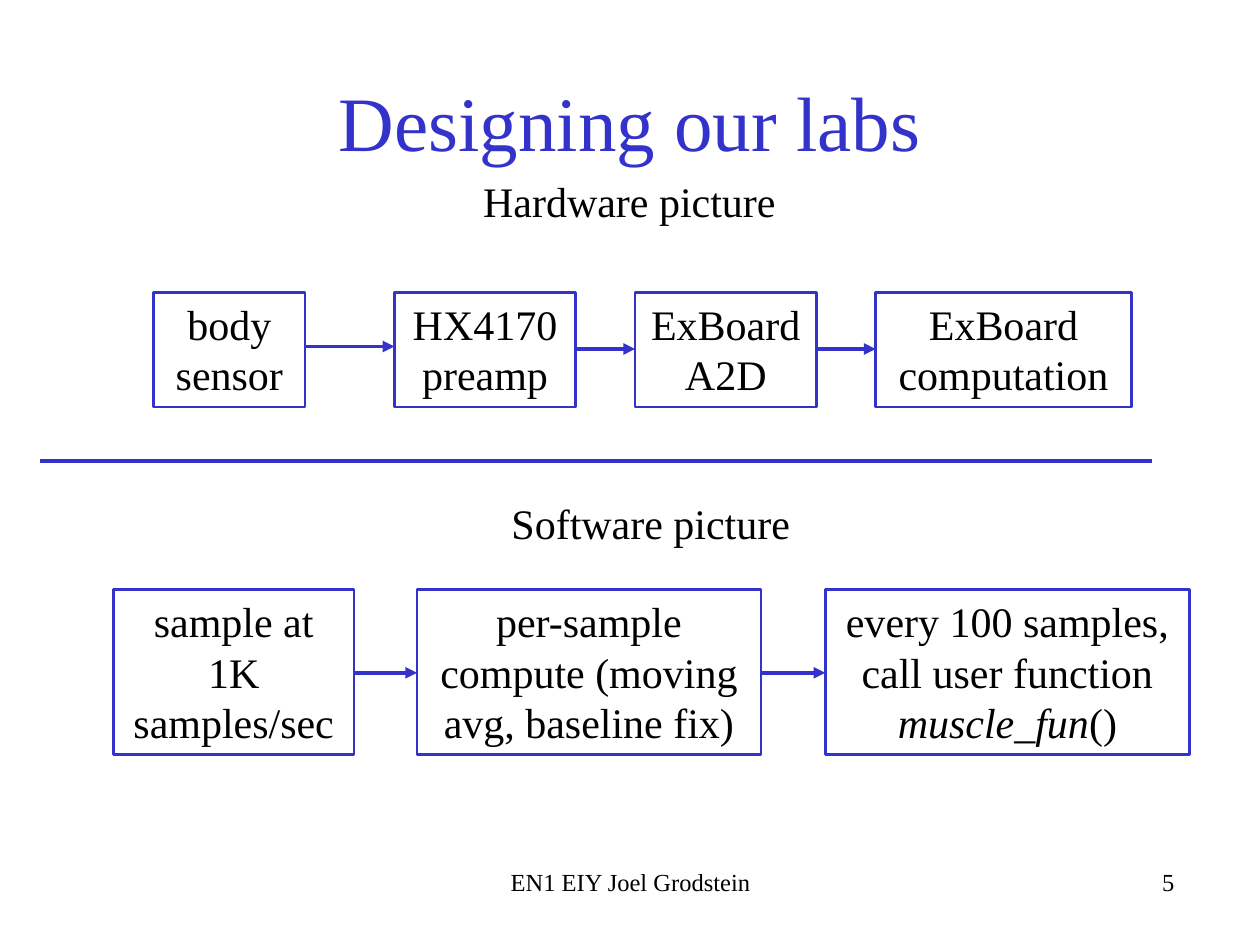
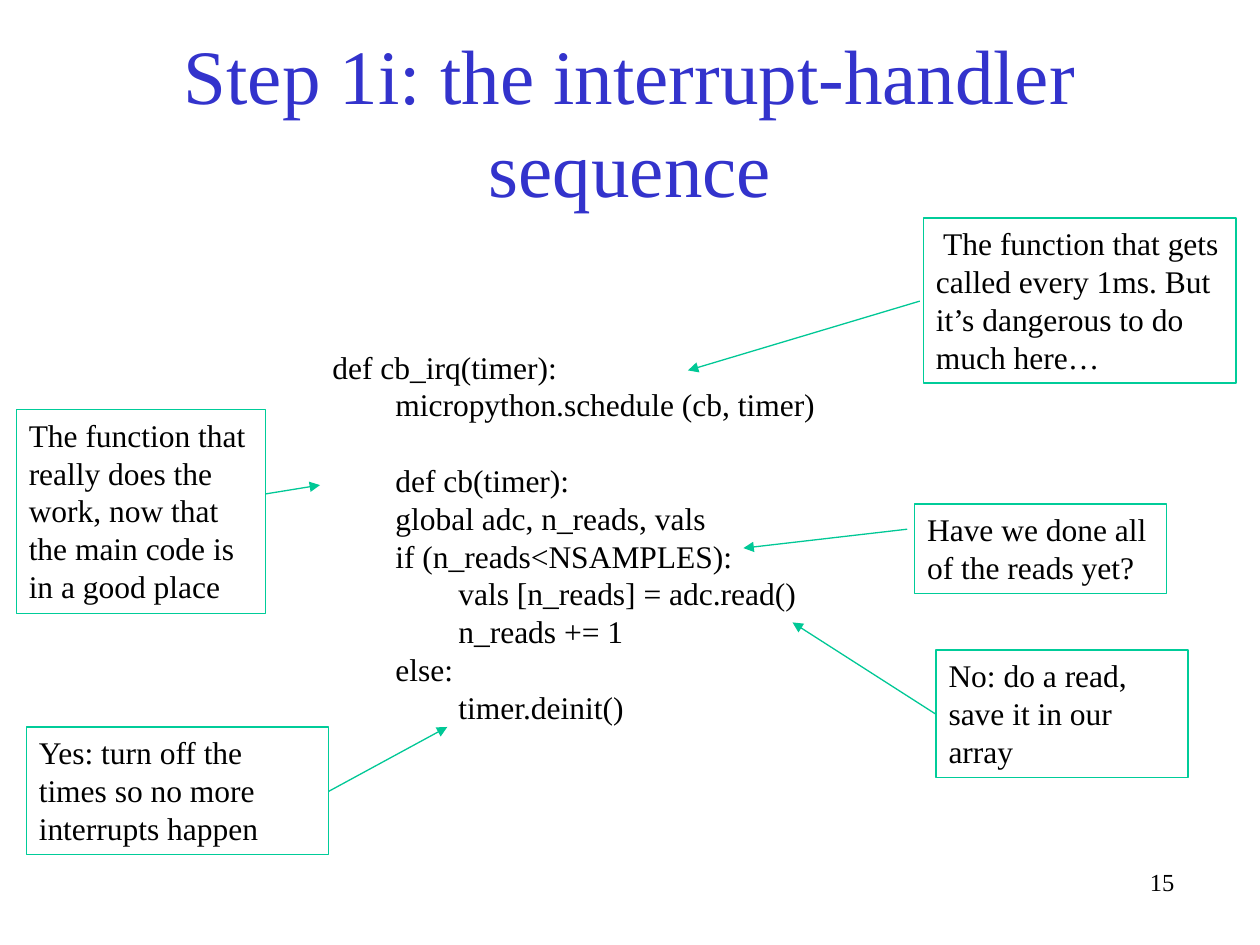
import pptx
import pptx.dml.color
import pptx.enum.shapes
import pptx.enum.text
import pptx.oxml
import pptx.oxml.ns
import pptx.util

PX = 9144  # 100 px to the inch
BLUE = pptx.dml.color.RGBColor(0x33, 0x33, 0xCC)
GREEN = pptx.dml.color.RGBColor(0x00, 0xCC, 0x99)
ARROW_GREEN = pptx.dml.color.RGBColor(0x00, 0xC8, 0x96)
BLACK = pptx.dml.color.RGBColor(0x00, 0x00, 0x00)
FONT = "Times New Roman"
LEFT = pptx.enum.text.PP_ALIGN.LEFT
CENTER = pptx.enum.text.PP_ALIGN.CENTER
RIGHT = pptx.enum.text.PP_ALIGN.RIGHT
FRAME_FORMAT = {
    "word_wrap": True,
    "auto_size": pptx.enum.text.MSO_AUTO_SIZE.NONE,
    "vertical_anchor": pptx.enum.text.MSO_ANCHOR.TOP,
}


def add_text(slide, place, text, size, alignment, outline=None, color=BLACK, shape=None):
    """Fill a shape, or a new box, one paragraph a line; *stars* mark italics."""
    left, top, width, height = (value * PX for value in place)
    if shape is None and outline:
        shape = slide.shapes.add_shape(
            pptx.enum.shapes.MSO_SHAPE.RECTANGLE, left, top, width, height)
        shape.shadow.inherit = False
        shape.fill.background()
        shape.line.color.rgb, shape.line.width = outline[0], pptx.util.Pt(outline[1])
    elif shape is None:
        shape = slide.shapes.add_textbox(left, top, width, height)
    else:
        shape.left, shape.top, shape.width, shape.height = left, top, width, height
    frame = shape.text_frame
    for name, value in FRAME_FORMAT.items():
        setattr(frame, name, value)
    for index, line in enumerate(text.split("\n")):
        paragraph = frame.add_paragraph() if index else frame.paragraphs[0]
        paragraph.alignment = alignment
        for part, words in enumerate(line.split("*")):
            run = paragraph.add_run()
            run.text = words
            font_format = {"name": FONT, "size": pptx.util.Pt(size), "italic": part % 2 == 1}
            for name, value in font_format.items():
                setattr(run.font, name, value)
            run.font.color.rgb = color
    return shape


def add_line(slide, ends, color, width, arrow=True):
    connector = slide.shapes.add_connector(
        pptx.enum.shapes.MSO_CONNECTOR.STRAIGHT, *(value * PX for value in ends))
    connector.line.color.rgb = color
    connector.line.width = pptx.util.Pt(width)
    if arrow:
        tail = pptx.oxml.parse_xml(
            f'<a:tailEnd {pptx.oxml.ns.nsdecls("a")} type="triangle"/>')
        connector.line._get_or_add_ln().append(tail)
    connector._element.spPr.append(
        pptx.oxml.parse_xml(f'<a:effectLst {pptx.oxml.ns.nsdecls("a")}/>'))


presentation = pptx.Presentation()
presentation.slide_width = 1000 * PX
presentation.slide_height = 750 * PX

# Shared title and slide number
slides = []
for title, number in (
    ("Designing our labs", "5"),
    ("Step 1i: the interrupt-handler sequence", "15"),
):
    slide = presentation.slides.add_slide(presentation.slide_layouts[5])
    title_shape = add_text(slide, (75, 33, 850, 125), title, 44, CENTER,
                           color=BLUE, shape=slide.shapes.title)
    title_shape.text_frame.vertical_anchor = pptx.enum.text.MSO_ANCHOR.MIDDLE
    add_text(slide, (625, 683, 317, 50), number, 14, RIGHT)
    slides.append(slide)
labs_slide, interrupt_slide = slides

# Labs: hardware chain above the divider, software chain below
add_text(labs_slide, (342, 683, 317, 34), "EN1 EIY Joel Grodstein", 14, CENTER)
add_text(labs_slide, (355, 134, 289, 50), "Hardware picture", 24, CENTER)
add_text(labs_slide, (372, 390, 289, 50), "Software picture", 24, CENTER)
add_line(labs_slide, (32, 366, 914, 366), BLUE, 2.25, arrow=False)

hardware_steps = [
    (122, 120, "body sensor"),
    (313, 144, "HX4170 preamp"),
    (504, 144, "ExBoard\nA2D"),
    (695, 203, "ExBoard\ncomputation"),
]
software_steps = [
    (90, 191, "sample at 1K samples/sec"),
    (331, 273, "per-sample compute (moving avg, baseline fix)"),
    (655, 289, "every 100 samples, call user function *muscle_fun*()"),
]
for top, height, arrow_heights, steps in (
    (232, 91, (275, 277, 277), hardware_steps),
    (468, 131, (534, 534), software_steps),
):
    for left, width, label in steps:
        add_text(labs_slide, (left, top, width, height), label, 24, CENTER, (BLUE, 1.5))
    for (left, width, _), (next_left, _, _), y in zip(steps, steps[1:], arrow_heights):
        add_line(labs_slide, (left + width, y, next_left, y), BLUE, 2.25)

# Interrupt handler: code in the middle, notes pointing at its lines
code_lines = [
    (0, "def cb_irq(timer):"),
    (1, "micropython.schedule (cb, timer)"),
    (1, "def cb(timer):"),
    (1, "global adc, n_reads, vals"),
    (1, "if (n_reads<NSAMPLES):"),
    (2, "vals [n_reads] = adc.read()"),
    (2, "n_reads += 1"),
    (1, "else:"),
    (2, "timer.deinit()"),
]
code_box = add_text(interrupt_slide, (254, 271, 410, 343),
                    "\n".join(line for _, line in code_lines), 18, LEFT)
code_paragraphs = code_box.text_frame.paragraphs
for paragraph, (level, _) in zip(code_paragraphs, code_lines):
    properties = paragraph._p.get_or_add_pPr()
    properties.set("marL", str(level * 50 * PX))
    properties.set("indent", "0")
code_paragraphs[2].space_before = pptx.util.Pt(21.6)

notes = [
    ((13, 325, 198, 162), (211, 392, 254, 385),
     "The function that really does the work, now that the main code is in a good place"),
    ((726, 400, 200, 71), (720, 420, 590, 435),
     "Have we done all of the reads yet?"),
    ((733, 173, 248, 131), (730, 239, 546, 294),
     " The function that gets called every 1ms. But it’s dangerous to do much here…"),
    ((743, 516, 200, 101), (743, 567, 629, 494),
     "No: do a read, save it in our array"),
    ((21, 577, 240, 101), (261, 628, 355, 577),
     "Yes: turn off the times so no more interrupts happen"),
]
for place, arrow_ends, note in notes:
    add_text(interrupt_slide, place, note, 18, LEFT, (GREEN, 0.75))
    add_line(interrupt_slide, arrow_ends, ARROW_GREEN, 0.75)

presentation.save("out.pptx")
